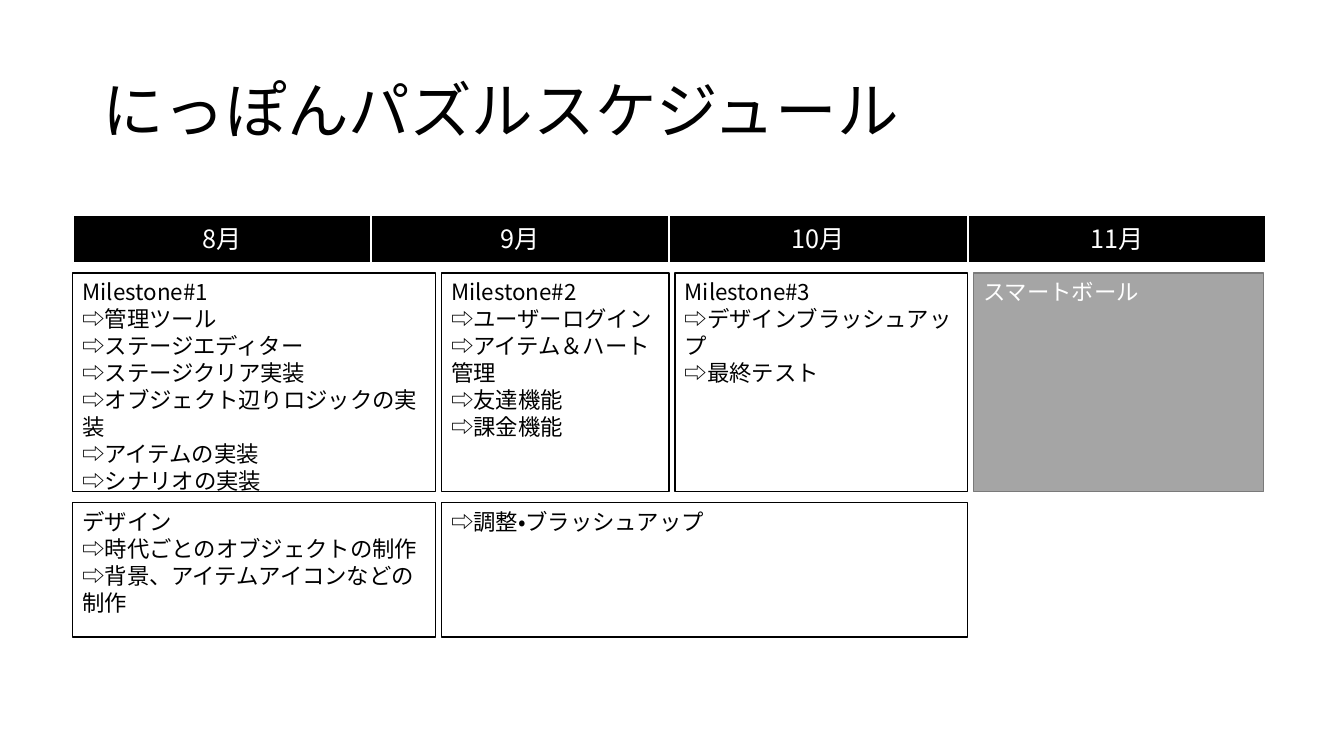
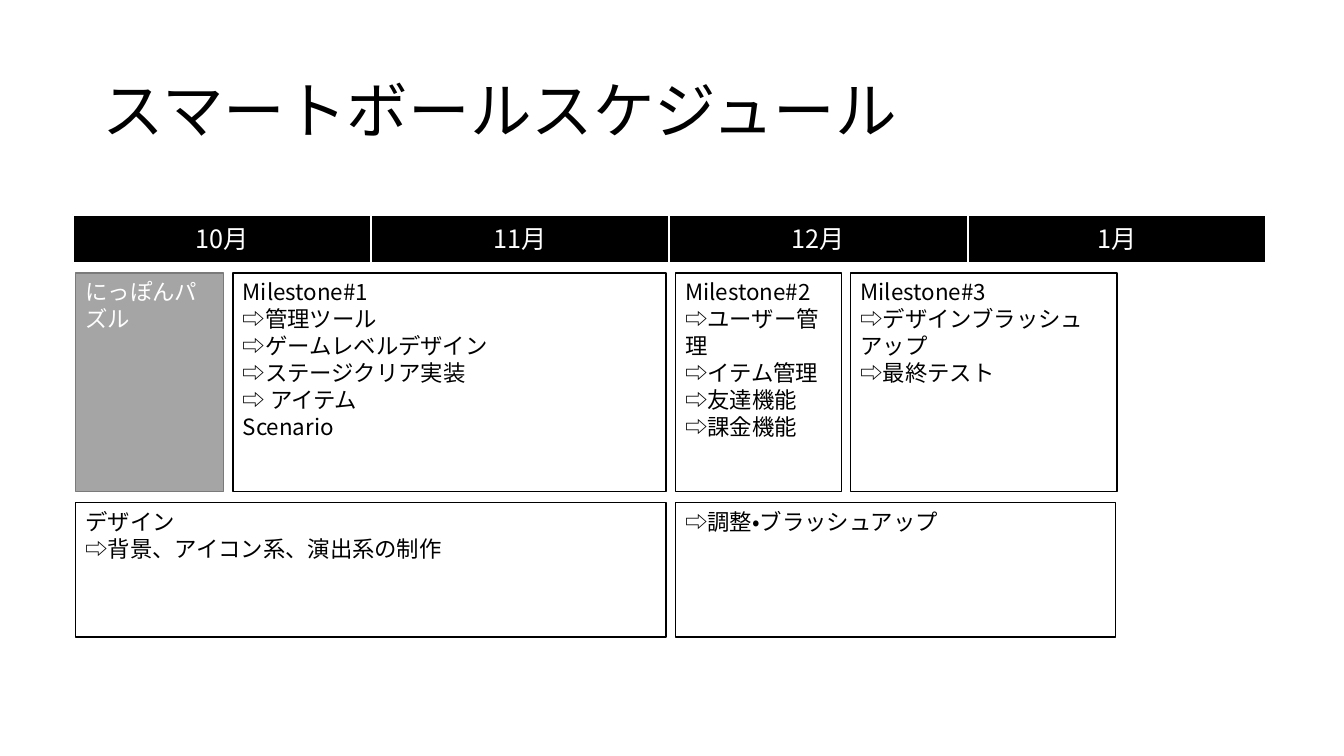
from dataclasses import dataclass

from pptx import Presentation
from pptx import util as u
from pptx.dml.color import RGBColor
from pptx.enum import lang, shapes, text


@dataclass(frozen=True)
class Theme:
    black: RGBColor = RGBColor(0x00, 0x00, 0x00)
    white: RGBColor = RGBColor(0xFF, 0xFF, 0xFF)
    grey: RGBColor = RGBColor(0xA5, 0xA5, 0xA5)
    grey_edge: RGBColor = RGBColor(0x7A, 0x7A, 0x7A)
    body_font: str = "Noto Sans CJK JP"
    title_font: str = "Calibri"
    title_size: u.Pt = u.Pt(44)
    month_size: u.Pt = u.Pt(18)
    card_size: u.Pt = u.Pt(16)
    card_leading: u.Pt = u.Pt(19.3)
    month_edge: u.Pt = u.Pt(1.5)
    card_edge: u.Pt = u.Pt(1)


@dataclass(frozen=True)
class Box:
    left: float
    top: float
    width: float
    height: float

    def lengths(self):
        return [u.Cm(n) for n in (self.left, self.top, self.width, self.height)]


@dataclass(frozen=True)
class Card:
    width: float
    lines: tuple
    other_project: bool = False


THEME = Theme()
TITLE_BOX = Box(2.33, 1.02, 29.21, 3.68)
SCHEDULE_BOX = Box(1.83, 5.41, 30.08, 10.64)
MONTH_HEIGHT = 1.22
MILESTONE_TOP, MILESTONE_HEIGHT = 1.47, 5.51
DESIGN_TOP, DESIGN_HEIGHT = 7.26, 3.38


def add_span(para, words, font, size, color):
    span = para.add_run()
    span.text = words
    span.font.name = font
    span.font.size = size
    span.font.color.rgb = color
    span.font.language_id = lang.MSO_LANGUAGE_ID.JAPANESE


def add_rectangle(page, box, fill, edge, edge_width):
    rectangle = page.shapes.add_shape(shapes.MSO_SHAPE.RECTANGLE, *box.lengths())
    rectangle.shadow.inherit = False
    rectangle.fill.solid()
    rectangle.fill.fore_color.rgb = fill
    rectangle.line.color.rgb = edge
    rectangle.line.width = edge_width
    rectangle.text_frame.word_wrap = True
    return rectangle.text_frame


def add_title(page, box, words):
    frame = page.shapes.add_textbox(*box.lengths()).text_frame
    frame.word_wrap = True
    frame.vertical_anchor = text.MSO_ANCHOR.MIDDLE
    para = frame.paragraphs[0]
    para.line_spacing = 0.9
    add_span(para, words, THEME.title_font, THEME.title_size, THEME.black)


def add_months(page, box, months):
    width = box.width / len(months)
    for index, month in enumerate(months):
        cell = Box(box.left + index * width, box.top, width, box.height)
        frame = add_rectangle(page, cell, THEME.black, THEME.white, THEME.month_edge)
        frame.vertical_anchor = text.MSO_ANCHOR.MIDDLE
        para = frame.paragraphs[0]
        para.alignment = text.PP_ALIGN.CENTER
        add_span(para, month, THEME.body_font, THEME.month_size, THEME.white)


def add_card(page, box, card):
    if card.other_project:
        fill, edge, ink = THEME.grey, THEME.grey_edge, THEME.white
    else:
        fill, edge, ink = THEME.white, THEME.black, THEME.black
    frame = add_rectangle(page, box, fill, edge, THEME.card_edge)
    frame.vertical_anchor = text.MSO_ANCHOR.TOP
    for index, line in enumerate(card.lines):
        para = frame.add_paragraph() if index else frame.paragraphs[0]
        para.alignment = text.PP_ALIGN.LEFT
        para.line_spacing = THEME.card_leading
        spans = (line,) if isinstance(line, str) else line
        for words, font in zip(spans, (THEME.body_font, THEME.title_font)):
            add_span(para, words, font, THEME.card_size, ink)


def add_card_row(page, box, cards, gap):
    left = box.left
    for card in cards:
        add_card(page, Box(left, box.top, card.width, box.height), card)
        left += card.width + gap


def add_schedule(page, box, months, milestones, design, indent, gap):
    add_months(page, Box(box.left, box.top, box.width, MONTH_HEIGHT), months)
    rows = (
        (MILESTONE_TOP, MILESTONE_HEIGHT, milestones),
        (DESIGN_TOP, DESIGN_HEIGHT, design),
    )
    for top, height, cards in rows:
        row = Box(box.left + indent, box.top + top, box.width - indent, height)
        add_card_row(page, row, cards, gap)


def add_schedule_page(deck, title, **schedule):
    page = deck.slides.add_slide(deck.slide_layouts[6])
    add_schedule(page, SCHEDULE_BOX, **schedule)
    add_title(page, TITLE_BOX, title)


def main():
    deck = Presentation()
    deck.slide_width = u.Cm(33.87)
    deck.slide_height = u.Cm(19.05)

    polish = ("Milestone#3", "⇨デザインブラッシュアップ", "⇨最終テスト")
    adjust = ("⇨調整・ブラッシュアップ",)

    add_schedule_page(
        deck,
        "にっぽんパズルスケジュール",
        months=("8月", "9月", "10月", "11月"),
        indent=0,
        gap=0.15,
        milestones=(
            Card(9.14, (
                "Milestone#1",
                "⇨管理ツール",
                "⇨ステージエディター",
                "⇨ステージクリア実装",
                "⇨オブジェクト辺りロジックの実装",
                "⇨アイテムの実装",
                "⇨シナリオの実装",
            )),
            Card(5.74, (
                "Milestone#2",
                "⇨ユーザーログイン",
                "⇨アイテム＆ハート管理",
                "⇨友達機能",
                "⇨課金機能",
            )),
            Card(7.37, polish),
            Card(7.32, ("スマートボール",), other_project=True),
        ),
        design=(
            Card(9.14, (
                "デザイン",
                ("⇨", "時代ごとのオブジェクトの制作"),
                ("⇨", "背景、アイテムアイコンなどの制作"),
            )),
            Card(13.26, adjust),
        ),
    )

    add_schedule_page(
        deck,
        "スマートボールスケジュール",
        months=("10月", "11月", "12月", "1月"),
        indent=0.08,
        gap=0.23,
        milestones=(
            Card(3.73, ("にっぽんパズル",), other_project=True),
            Card(10.92, (
                "Milestone#1",
                "⇨管理ツール",
                "⇨ゲームレベルデザイン",
                "⇨ステージクリア実装",
                "⇨ アイテム",
                "Scenario",
            )),
            Card(4.19, (
                "Milestone#2",
                "⇨ユーザー管理",
                "⇨イテム管理",
                "⇨友達機能",
                "⇨課金機能",
            )),
            Card(6.71, polish),
        ),
        design=(
            Card(14.88, ("デザイン", "⇨背景、アイコン系、演出系の制作")),
            Card(11.1, adjust),
        ),
    )

    deck.save("out.pptx")


if __name__ == "__main__":
    main()
